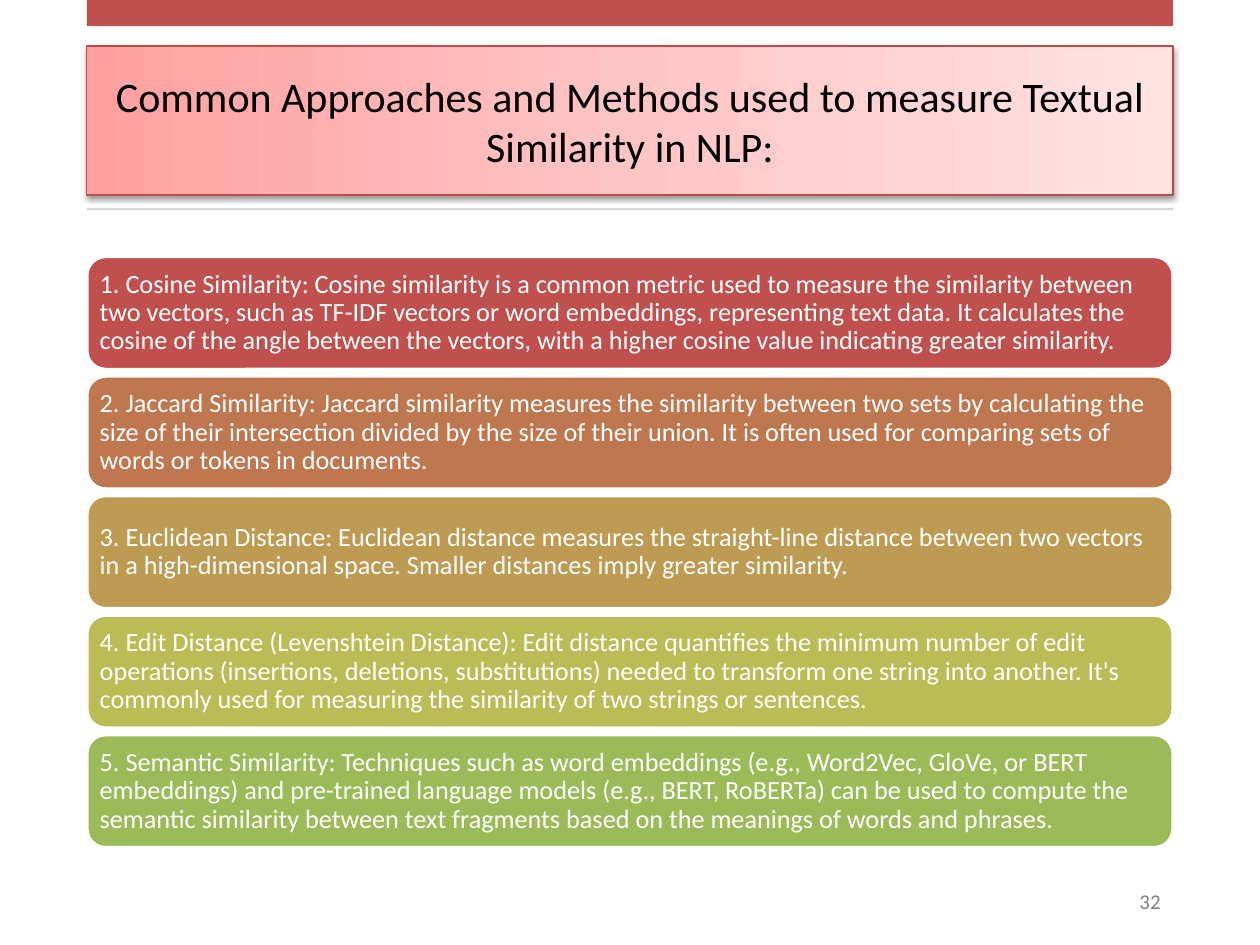
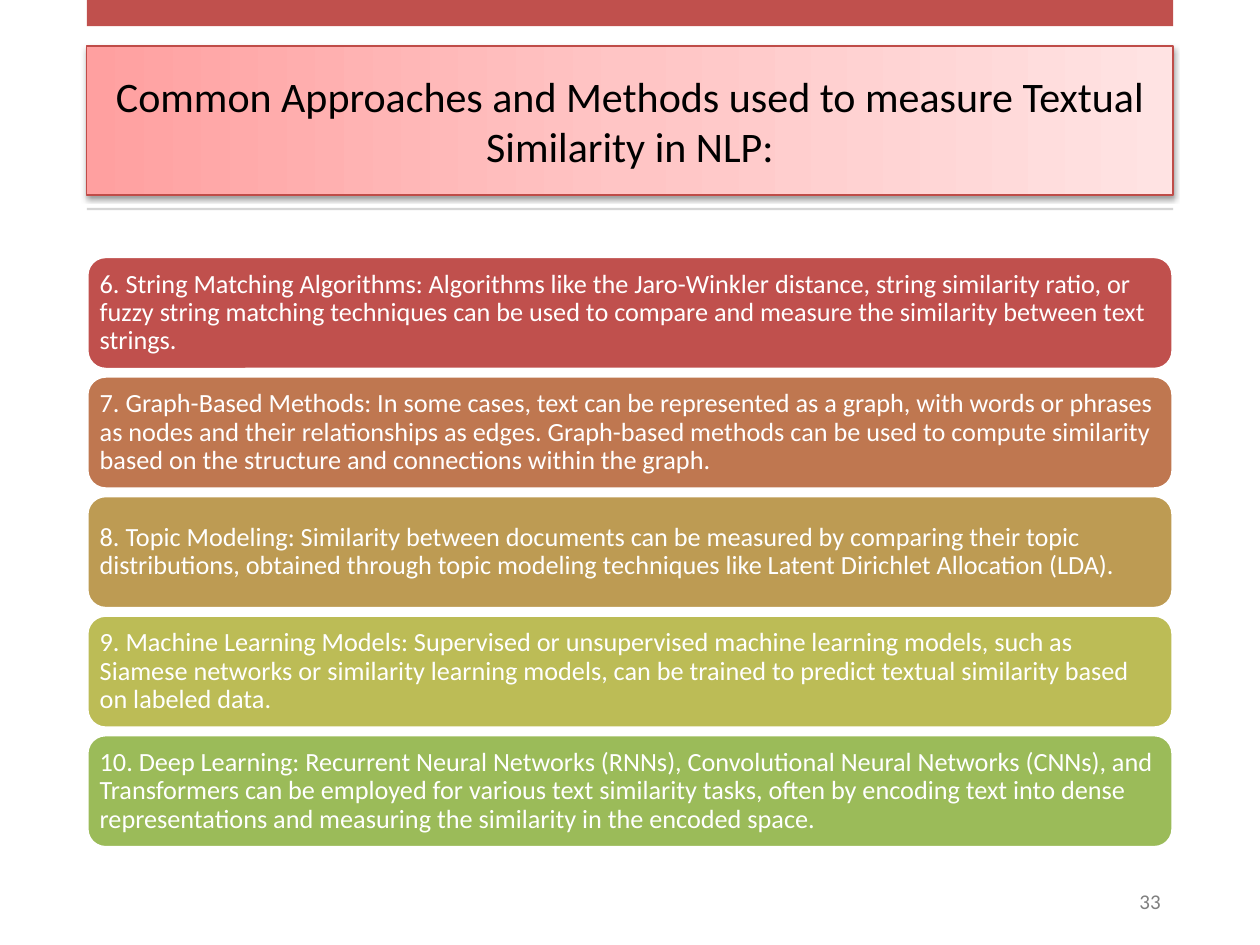
from pptx import Presentation
from pptx.dml.color import RGBColor
from pptx.enum.shapes import MSO_SHAPE as Shape
from pptx.enum.text import MSO_ANCHOR as Anchor, MSO_AUTO_SIZE as Auto, PP_ALIGN as Align
from pptx.oxml import parse_xml
from pptx.oxml.ns import nsdecls
from pptx.util import Cm, Pt

FONT = "Calibri"
INK = {
    "band": "C0504D", "rule": "D5D5D5", "edge": "BF4C48",
    "text": "000000", "page": "808080", "white": "FFFFFF",
}
FADE = {0: "FFA0A0", 50: "FFC5C5", 100: "FFE3E3"}
CARDS = ["C0504D", "BF7750", "BD9B53", "BCBC56", "9BBB59"]

# Shared column and vertical places, in cm
LEFT, WIDE = 1.75, 21.9
HEAD = (LEFT, 0.93, WIDE, 3)
LIST = (LEFT, 5.17, WIDE, 11.92)
FOOT = (18.16, 17.65, 5.49, 1.02)
GAP = 0.13

TITLE = "Common Approaches and Methods used to measure Textual Similarity in NLP:"
PAGES = {
    32: [
        "1. Cosine Similarity: Cosine similarity is a common metric used to measure the similarity between two vectors, such as TF-IDF vectors or word embeddings, representing text data. It calculates the cosine of the angle between the vectors, with a higher cosine value indicating greater similarity.",
        "2. Jaccard Similarity: Jaccard similarity measures the similarity between two sets by calculating the size of their intersection divided by the size of their union. It is often used for comparing sets of words or tokens in documents.",
        "3. Euclidean Distance: Euclidean distance measures the straight-line distance between two vectors in a high-dimensional space. Smaller distances imply greater similarity.",
        "4. Edit Distance (Levenshtein Distance): Edit distance quantifies the minimum number of edit operations (insertions, deletions, substitutions) needed to transform one string into another. It's commonly used for measuring the similarity of two strings or sentences.",
        "5. Semantic Similarity: Techniques such as word embeddings (e.g., Word2Vec, GloVe, or BERT embeddings) and pre-trained language models (e.g., BERT, RoBERTa) can be used to compute the semantic similarity between text fragments based on the meanings of words and phrases.",
    ],
    33: [
        "6. String Matching Algorithms: Algorithms like the Jaro-Winkler distance, string similarity ratio, or fuzzy string matching techniques can be used to compare and measure the similarity between text strings.",
        "7. Graph-Based Methods: In some cases, text can be represented as a graph, with words or phrases as nodes and their relationships as edges. Graph-based methods can be used to compute similarity based on the structure and connections within the graph.",
        "8. Topic Modeling: Similarity between documents can be measured by comparing their topic distributions, obtained through topic modeling techniques like Latent Dirichlet Allocation (LDA).",
        "9. Machine Learning Models: Supervised or unsupervised machine learning models, such as Siamese networks or similarity learning models, can be trained to predict textual similarity based on labeled data.",
        "10. Deep Learning: Recurrent Neural Networks (RNNs), Convolutional Neural Networks (CNNs), and Transformers can be employed for various text similarity tasks, often by encoding text into dense representations and measuring the similarity in the encoded space.",
    ],
}


def rgb(code):
    return RGBColor.from_string(code)


def write(shape, text, size, color, align):
    """Put one paragraph in a shape, centred in height."""
    frame = shape.text_frame
    frame.word_wrap = True
    frame.auto_size = Auto.NONE
    frame.vertical_anchor = Anchor.MIDDLE
    frame.text = text
    par = frame.paragraphs[0]
    par.alignment = align
    par.font.name = FONT
    par.font.size = Pt(size)
    par.font.color.rgb = rgb(color)
    return par


def block(slide, kind, box, color):
    """Draw a flat filled shape without an outline."""
    shape = slide.shapes.add_shape(kind, *map(Cm, box))
    shape.shadow.inherit = False
    shape.fill.solid()
    shape.fill.fore_color.rgb = rgb(color)
    shape.line.fill.background()
    return shape


def header(slide, box):
    left, top, wide, high = box
    title = slide.shapes.title
    title.left, title.top, title.width, title.height = map(Cm, box)
    write(title, TITLE, 24, INK["text"], Align.CENTER)

    # Gradient, outline and soft shadow
    stops = "".join(
        f'<a:gs pos="{pos * 1000}"><a:srgbClr val="{code}"/></a:gs>'
        for pos, code in FADE.items())
    look = title.element.spPr
    look.append(parse_xml(
        f'<a:gradFill {nsdecls("a")} rotWithShape="1"><a:gsLst>{stops}</a:gsLst>'
        '<a:lin ang="0" scaled="0"/></a:gradFill>'))
    title.line.color.rgb = rgb(INK["edge"])
    title.line.width = Pt(0.75)
    look.append(parse_xml(
        f'<a:effectLst {nsdecls("a")}><a:outerShdw blurRad="{Pt(3.1)}" '
        f'dist="{Pt(1.6)}" dir="5400000" rotWithShape="0">'
        f'<a:srgbClr val="{INK["text"]}"><a:alpha val="38000"/></a:srgbClr>'
        '</a:outerShdw></a:effectLst>'))

    # Band above and thin rule below
    block(slide, Shape.RECTANGLE, (left, 0, wide, 0.53), INK["band"])
    block(slide, Shape.RECTANGLE, (left, top + high + 0.26, wide, 0.05), INK["rule"])


def footer(slide, box, page):
    note = slide.shapes.add_textbox(*map(Cm, box))
    write(note, str(page), 12, INK["page"], Align.RIGHT)


def stack(slide, box, items):
    """Share the box height evenly among the cards."""
    left, top, wide, high = box
    tall = (high - GAP * (len(items) - 1)) / len(items)
    for row, (text, color) in enumerate(zip(items, CARDS)):
        place = (left, top + row * (tall + GAP), wide, tall)
        card = block(slide, Shape.ROUNDED_RECTANGLE, place, color)
        card.line.color.rgb = rgb(INK["white"])
        card.line.width = Pt(2)
        frame = card.text_frame
        frame.margin_left = frame.margin_right = Cm(0.15)
        frame.margin_top = frame.margin_bottom = Cm(0.15)
        par = write(card, text, 15, INK["white"], Align.LEFT)
        par.line_spacing = 0.9


def main():
    deck = Presentation()
    deck.slide_width, deck.slide_height = Cm(25.4), Cm(19.05)
    for page, items in PAGES.items():
        slide = deck.slides.add_slide(deck.slide_layouts[5])
        header(slide, HEAD)
        footer(slide, FOOT, page)
        stack(slide, LIST, items)
    deck.save("out.pptx")


if __name__ == "__main__":
    main()
